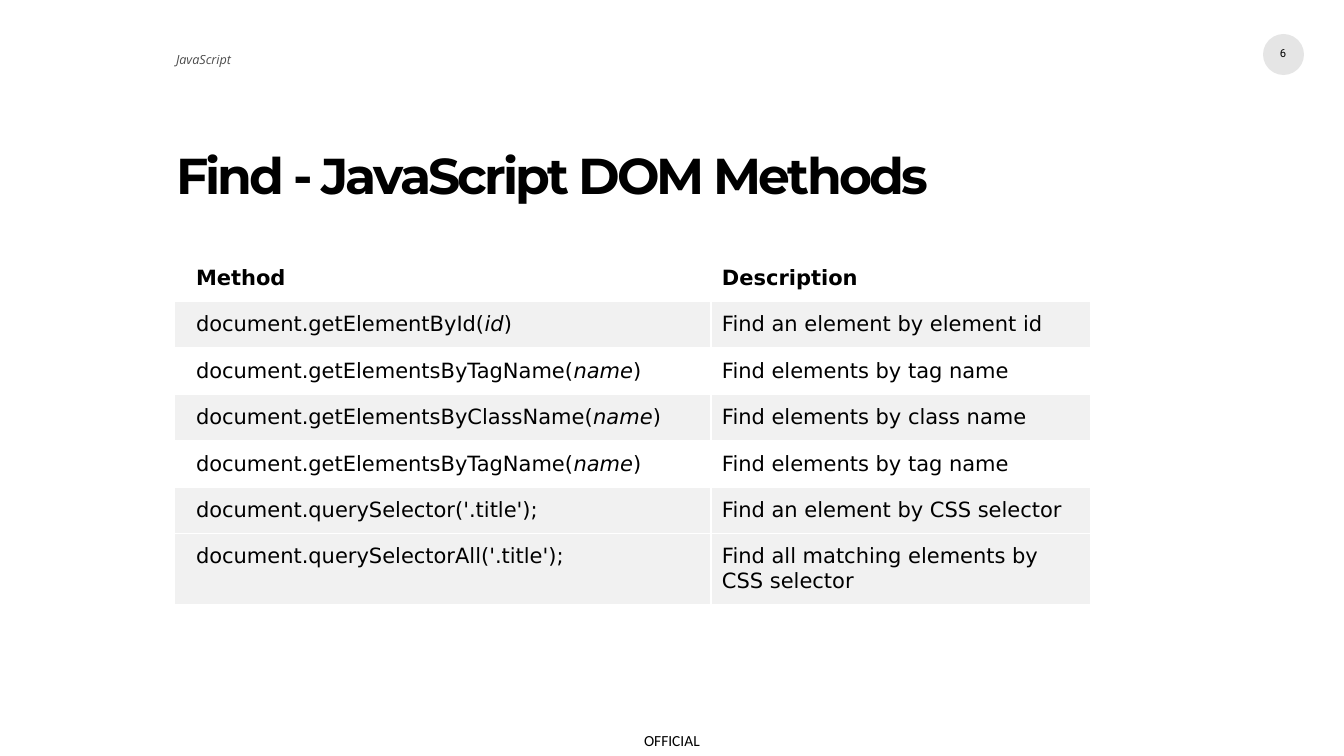
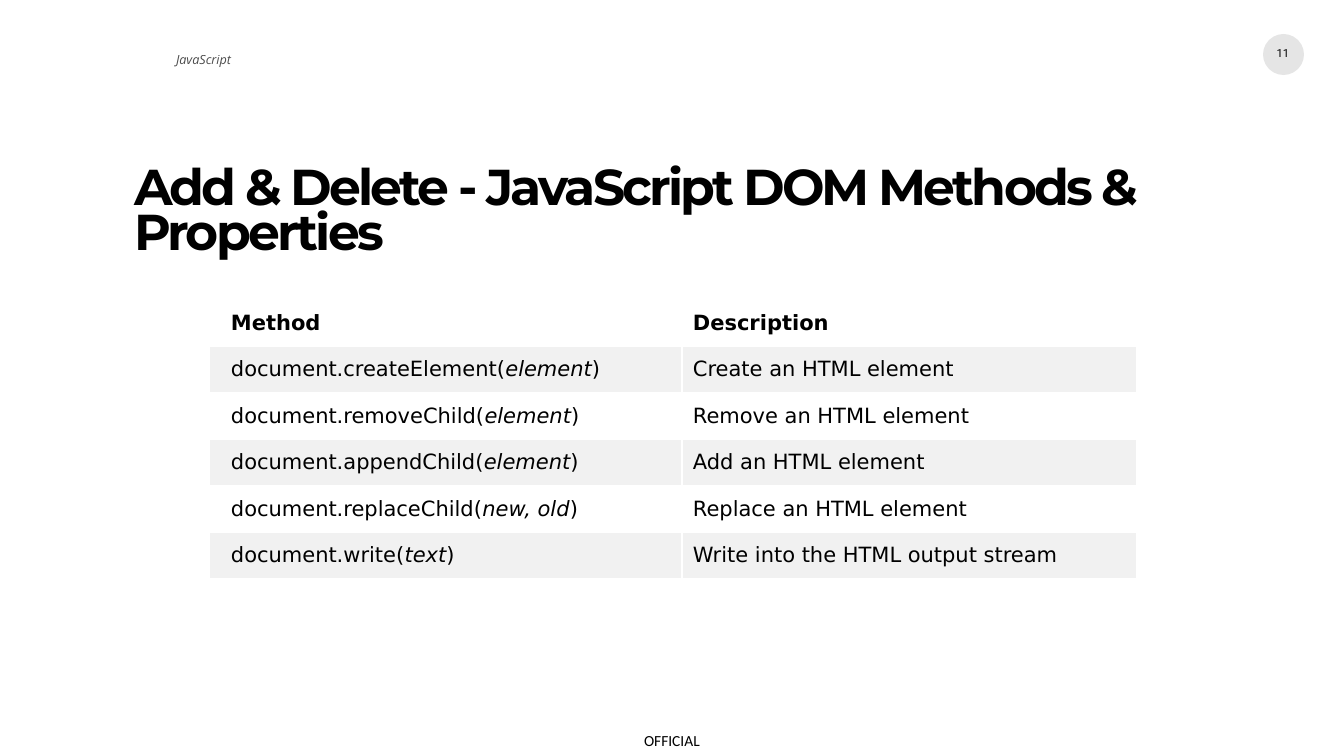
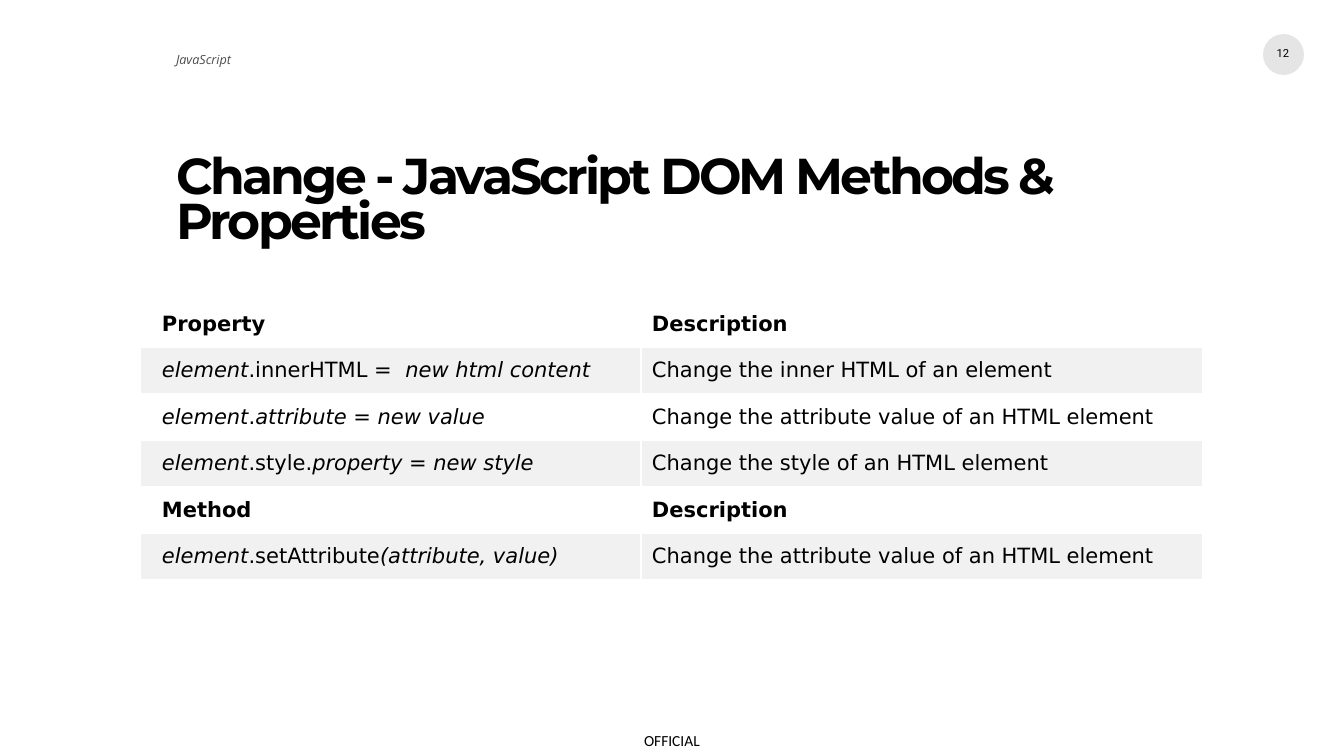
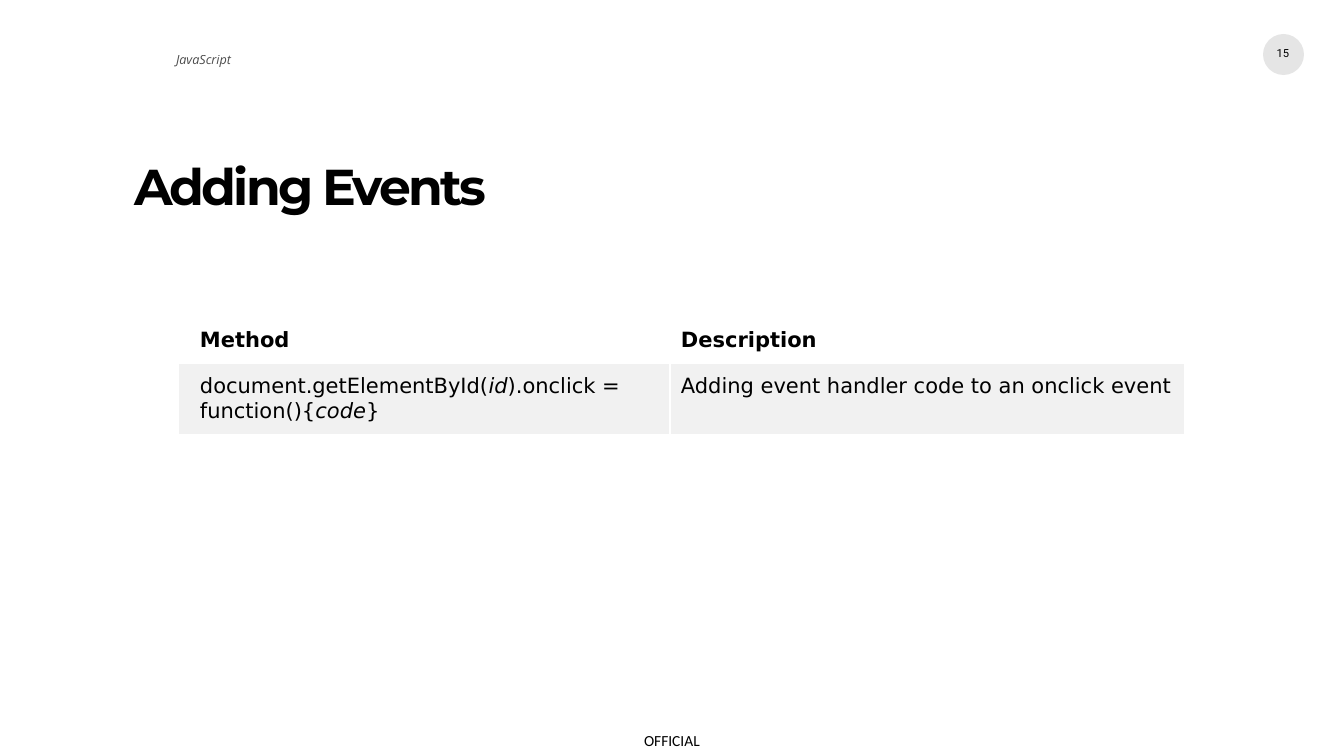
from dataclasses import dataclass

from lxml import etree
from pptx import Presentation
from pptx import util as u
from pptx.dml.color import RGBColor
from pptx.enum import shapes, text
from pptx.oxml.ns import qn

SECTION = "JavaScript"
MARKING = "OFFICIAL"
HEADING = "Description"

SLIDES = [
    {
        "number": 6,
        "title": "Find - JavaScript DOM Methods",
        "title_box": (176, 158, 914, 114),
        "table_at": (174, 255),
        "columns": (537, 380),
        "rows": [
            ("Method", HEADING),
            ("document.getElementById(*id*)", "Find an element by element id"),
            ("document.getElementsByTagName(*name*)", "Find elements by tag name"),
            ("document.getElementsByClassName(*name*)", "Find elements by class name"),
            ("document.getElementsByTagName(*name*)", "Find elements by tag name"),
            ("document.querySelector('.title');", "Find an element by CSS selector"),
            ("document.querySelectorAll('.title');", "Find all matching elements by CSS selector"),
        ],
    },
    {
        "number": 11,
        "title": "Add & Delete - JavaScript DOM Methods & Properties",
        "title_box": (134, 169, 1096, 114),
        "table_at": (209, 300),
        "columns": (473, 455),
        "rows": [
            ("Method", HEADING),
            ("document.createElement(*element*)", "Create an HTML element"),
            ("document.removeChild(*element*)", "Remove an HTML element"),
            ("document.appendChild(*element*)", "Add an HTML element"),
            ("document.replaceChild(*new, old*)", "Replace an HTML element"),
            ("document.write(*text*)", "Write into the HTML output stream"),
        ],
    },
    {
        "number": 12,
        "title": "Change - JavaScript DOM Methods & Properties",
        "title_box": (176, 158, 1044, 114),
        "table_at": (140, 301),
        "columns": (501, 562),
        "rows": [
            ("Property", HEADING),
            ("*element*.innerHTML =  *new html content*", "Change the inner HTML of an element"),
            ("*element*.*attribute = new value*", "Change the attribute value of an HTML element"),
            ("*element*.style.*property = new style*", "Change the style of an HTML element"),
            ("Method", HEADING),
            ("*element*.setAttribute*(attribute, value)*", "Change the attribute value of an HTML element"),
        ],
    },
    {
        "number": 15,
        "title": "Adding Events",
        "title_box": (134, 169, 1096, 114),
        "table_at": (178, 317),
        "columns": (492, 515),
        "rows": [
            ("Method", HEADING),
            ("document.getElementById(*id*).onclick = function(){*code*}", "Adding event handler code to an onclick event"),
        ],
    },
]


@dataclass(frozen=True)
class Theme:
    ink: str = "000000"
    paper: str = "FFFFFF"
    band: str = "F1F1F1"
    title: tuple = ("Montserrat", 36)
    section: tuple = ("Open Sans", 9)
    number: tuple = ("Roboto", 8)
    marking: tuple = ("Calibri", 11)
    cell: tuple = ("DejaVu Sans", 15)


THEME = Theme()
PX_PER_INCH = 100.8
SLIDE_SIZE = (1344, 756)
SECTION_BOX = (176, 52, 332, 101)
MARKING_BOX = (644, 731, 59, 18)
BADGE_BOX = (1263, 34, 41, 41)
NUMBER_BOX = (1276, 46, 14, 15)
ROW_HEIGHT = 46
CELL_MARGIN = 11
FIRST_CELL_MARGIN = 22


def px(length):
    return u.Emu(round(length * u.Inches(1) / PX_PER_INCH))


def place(shape, box):
    shape.left, shape.top, shape.width, shape.height = map(px, box)


def style(paragraph, face, bold=False, italic=None):
    font = paragraph.font
    font.name, font.size = face[0], u.Pt(face[1])
    font.bold, font.italic = bold, italic
    font.color.rgb = RGBColor.from_string(THEME.ink)


def fade(element, percent):
    for color in element.iter(qn("a:srgbClr")):
        etree.SubElement(color, qn("a:alpha"), val=str(percent * 1000))


def write(shape, content, face, wrap=True, anchor=text.MSO_ANCHOR.TOP, **emphasis):
    frame = shape.text_frame
    frame.margin_left = frame.margin_top = frame.margin_right = frame.margin_bottom = 0
    frame.auto_size = text.MSO_AUTO_SIZE.NONE
    frame.word_wrap, frame.vertical_anchor = wrap, anchor
    frame.text = content
    paragraph = frame.paragraphs[0]
    paragraph.alignment = text.PP_ALIGN.LEFT
    style(paragraph, face, **emphasis)
    return paragraph


def add_text(slide, box, content, face, **options):
    return write(slide.shapes.add_textbox(*map(px, box)), content, face, **options)


def furnish_layout(layout, slide):
    badge = slide.shapes.add_shape(shapes.MSO_SHAPE.OVAL, *map(px, BADGE_BOX))
    badge.shadow.inherit = False
    badge.fill.solid()
    badge.fill.fore_color.rgb = RGBColor.from_string(THEME.ink)
    badge.line.fill.background()
    fade(badge.element, 10)
    marking = slide.shapes.add_textbox(*map(px, MARKING_BOX))
    write(marking, MARKING, THEME.marking)
    for shape in (badge, marking):
        layout.shapes.element.append(shape.element)


def fill_title(slide, content, box):
    title = slide.shapes.title
    place(title, box)
    paragraph = write(title, content, THEME.title, bold=True)
    paragraph.line_spacing = 0.75
    paragraph.runs[0].font._element.set("spc", "-200")


def fill_section(slide):
    body = slide.placeholders[1]
    place(body, SECTION_BOX)
    paragraph = write(body, SECTION, THEME.section, italic=True)
    paragraph.space_before = u.Pt(10)
    properties = paragraph._p.get_or_add_pPr()
    properties.set("marL", "0")
    properties.set("indent", "0")
    properties.find(qn("a:defRPr")).addprevious(etree.Element(qn("a:buNone")))
    fade(properties, 70)


def border(cell):
    properties = cell._tc.get_or_add_tcPr()
    for index, side in enumerate(("lnL", "lnR", "lnT", "lnB")):
        line = etree.Element(qn(f"a:{side}"), w=str(u.Pt(1)))
        fill = etree.SubElement(line, qn("a:solidFill"))
        etree.SubElement(fill, qn("a:srgbClr"), val=THEME.paper)
        properties.insert(index, line)


def fill_cell(cell, content, left_margin, color, bold):
    cell.margin_left = px(left_margin)
    cell.margin_top = cell.margin_right = cell.margin_bottom = px(CELL_MARGIN)
    cell.fill.solid()
    cell.fill.fore_color.rgb = RGBColor.from_string(color)
    border(cell)
    paragraph = cell.text_frame.paragraphs[0]
    style(paragraph, THEME.cell, bold=bold)
    for index, part in enumerate(content.split("*")):
        if part:
            run = paragraph.add_run()
            run.text = part
            run.font.italic = index % 2 == 1


def add_method_table(slide, rows, at, columns):
    size = (sum(columns), ROW_HEIGHT * len(rows))
    table = slide.shapes.add_table(len(rows), len(columns), *map(px, at + size)).table
    for column, width in zip(table.columns, columns):
        column.width = px(width)
    for row_index, row in enumerate(rows):
        banded = row_index % 2 or row_index == len(rows) - 1
        color = THEME.band if banded else THEME.paper
        for column_index, content in enumerate(row):
            margin = CELL_MARGIN if column_index else FIRST_CELL_MARGIN
            fill_cell(table.cell(row_index, column_index), content, margin, color, HEADING in row)


def main():
    presentation = Presentation()
    presentation.slide_width, presentation.slide_height = map(px, SLIDE_SIZE)
    layout = presentation.slide_layouts[1]
    for index, content in enumerate(SLIDES):
        slide = presentation.slides.add_slide(layout)
        if index == 0:
            furnish_layout(layout, slide)
        fill_title(slide, content["title"], content["title_box"])
        number = add_text(slide, NUMBER_BOX, str(content["number"]), THEME.number,
                          wrap=False, anchor=text.MSO_ANCHOR.MIDDLE)
        number.alignment = text.PP_ALIGN.CENTER
        fill_section(slide)
        add_method_table(slide, content["rows"], content["table_at"], content["columns"])
    presentation.save("out.pptx")


if __name__ == "__main__":
    main()
